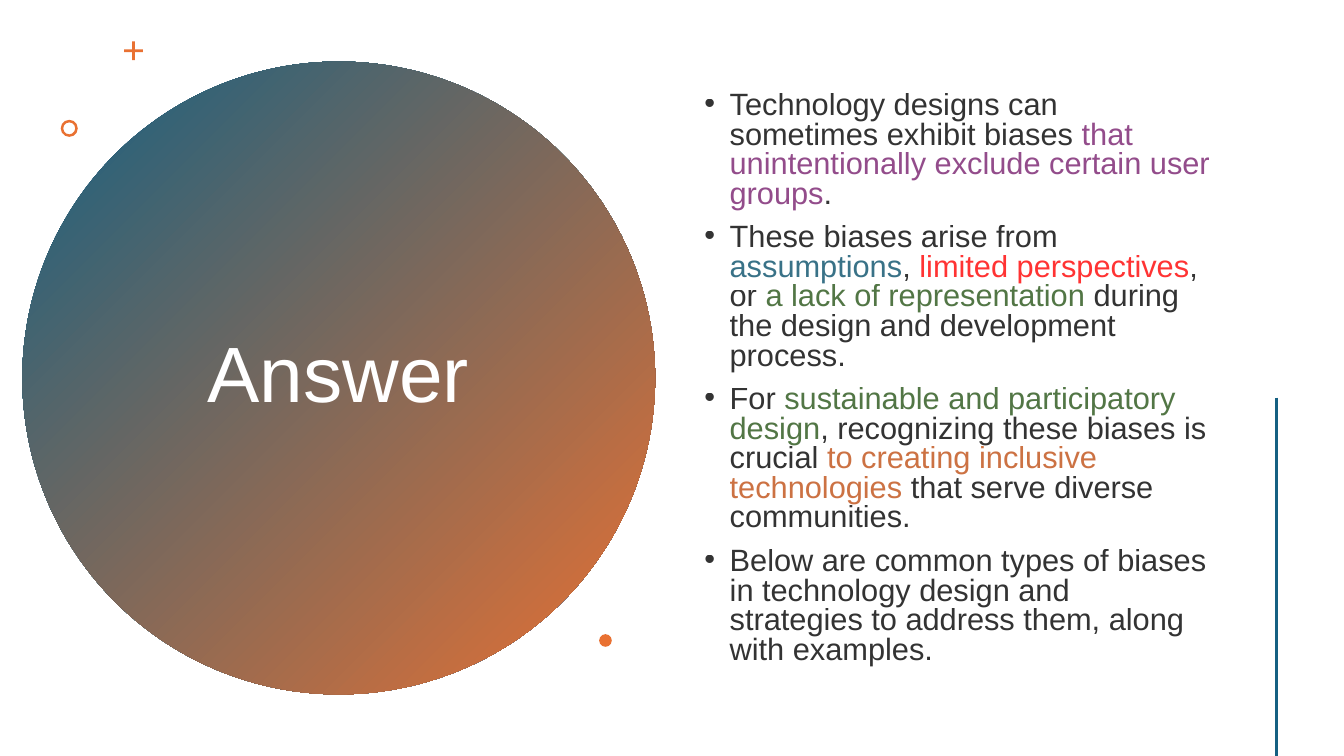
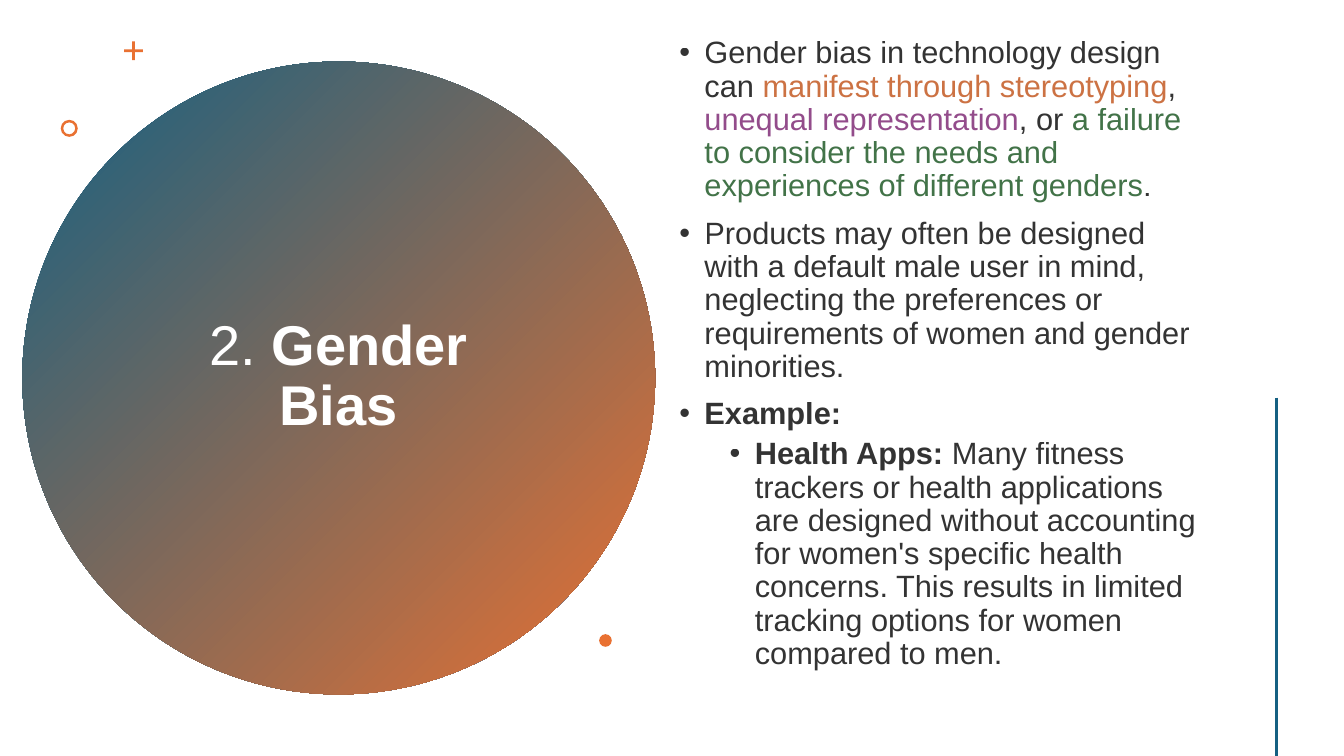
import lxml.etree
import pptx
import pptx.dml.color
import pptx.enum.shapes
import pptx.enum.text
import pptx.oxml.ns
import pptx.util

Pt = pptx.util.Pt
qn = pptx.oxml.ns.qn
SHAPE = pptx.enum.shapes.MSO_SHAPE
ALIGN = pptx.enum.text.PP_ALIGN

FONT = "Arial"
BODY_SIZE = 22
COLORS = {
    "white": "FFFFFF",
    "ink": "000000",
    "blue": "156082",
    "orange": "E97132",
    "purple": "78206E",
    "teal": "084F6A",
    "red": "FF0000",
    "olive": "275417",
    "green": "13501B",
    "rust": "C04F15",
}


def rgb(name):
    return pptx.dml.color.RGBColor.from_string(COLORS[name])


def add_run(p, text, size=BODY_SIZE, color="ink", bold=False, opacity=100):
    r = p.add_run()
    r.text = text
    r.font.name = FONT
    r.font.size = Pt(size)
    r.font.bold = bold
    r.font.color.rgb = rgb(color)
    if opacity < 100:
        clr = r._r.find(".//" + qn("a:srgbClr"))
        lxml.etree.SubElement(clr, qn("a:alpha"), val=str(opacity * 1000))


def set_bullet(p, left, hanging=18):
    pPr = p._p.get_or_add_pPr()
    pPr.set("marL", str(Pt(left)))
    pPr.set("indent", str(-Pt(hanging)))
    lxml.etree.SubElement(pPr, qn("a:buFont"), typeface=FONT)
    lxml.etree.SubElement(pPr, qn("a:buChar"), char="•")


class Deck:
    """Holds the shared style and the slide being built."""

    def __init__(self):
        self.prs = pptx.Presentation()
        self.prs.slide_width = Pt(960)
        self.prs.slide_height = Pt(540)
        self.slide = None

    def new_slide(self):
        """Add a slide with the gradient circle, small ornaments and side line."""
        self.slide = self.prs.slides.add_slide(self.prs.slide_layouts[1])
        circle = self.shape(SHAPE.OVAL, 16, 44, 452)
        circle.fill.gradient()
        circle.fill.gradient_angle = 315
        for stop, name in zip(circle.fill.gradient_stops, ("blue", "orange")):
            stop.color.rgb = rgb(name)
        self.shape(SHAPE.CROSS, 88.6, 29.5, 13.5).adjustments[0] = 0.43
        self.shape(SHAPE.DONUT, 43.4, 85.6, 12.2).adjustments[0] = 0.15
        self.shape(SHAPE.OVAL, 428, 453, 9)
        self.line(912, 284, 912, 540)

    def shape(self, kind, left, top, size):
        sp = self.slide.shapes.add_shape(kind, Pt(left), Pt(top), Pt(size), Pt(size))
        sp.shadow.inherit = False
        sp.fill.solid()
        sp.fill.fore_color.rgb = rgb("orange")
        sp.line.fill.background()
        return sp

    def line(self, x1, y1, x2, y2):
        cxn = self.slide.shapes.add_connector(
            pptx.enum.shapes.MSO_CONNECTOR.STRAIGHT, Pt(x1), Pt(y1), Pt(x2), Pt(y2))
        cxn.line.color.rgb = rgb("blue")
        cxn.line.width = Pt(2)
        lxml.etree.SubElement(cxn._element.spPr, qn("a:effectLst"))

    def place(self, sp, left, top, width, height):
        """Move a placeholder, bring it to the front and centre its text vertically."""
        sp.left, sp.top, sp.width, sp.height = Pt(left), Pt(top), Pt(width), Pt(height)
        self.slide.shapes._spTree.append(sp._element)
        tf = sp.text_frame
        tf.word_wrap = True
        tf.auto_size = pptx.enum.text.MSO_AUTO_SIZE.NONE
        tf.vertical_anchor = pptx.enum.text.MSO_ANCHOR.MIDDLE
        return tf

    def title(self, runs, size):
        tf = self.place(self.slide.shapes.title, 98, 101.5, 287.5, 336)
        p = tf.paragraphs[0]
        p.alignment = ALIGN.CENTER
        p.line_spacing = 0.9
        for text, bold in runs:
            add_run(p, text, size=size, color="white", bold=bold)

    def bullets(self, items, box, line_spacing):
        """Fill the body with (level, runs) items; a run is (text, format)."""
        tf = self.place(self.slide.placeholders[1], *box)
        for i, (level, runs) in enumerate(items):
            p = tf.add_paragraph() if i else tf.paragraphs[0]
            p.level = level
            p.alignment = ALIGN.LEFT
            p.line_spacing = line_spacing
            p.space_before = Pt(5 if level else 10)
            set_bullet(p, 18 + 36 * level)
            for text, style in runs:
                add_run(p, text, opacity=80, **style)


PLAIN = {}
BOLD = {"bold": True}
PURPLE, TEAL, RED, OLIVE, GREEN, RUST = (
    {"color": name} for name in ("purple", "teal", "red", "olive", "green", "rust"))

ANSWER = [
    (0, [("Technology designs can sometimes exhibit biases ", PLAIN),
         ("that unintentionally exclude certain user groups", PURPLE),
         (".", PLAIN)]),
    (0, [("These biases arise from ", PLAIN),
         ("assumptions", TEAL),
         (", ", PLAIN),
         ("limited perspectives", RED),
         (", or ", PLAIN),
         ("a lack of representation ", OLIVE),
         ("during the design and development process.", PLAIN)]),
    (0, [("For ", PLAIN),
         ("sustainable and participatory design", OLIVE),
         (", recognizing these biases is crucial ", PLAIN),
         ("to creating inclusive technologies ", RUST),
         ("that serve diverse communities.", PLAIN)]),
    (0, [("Below are common types of biases in technology design and strategies "
          "to address them, along with examples.", PLAIN)]),
]

GENDER_BIAS = [
    (0, [("Gender bias in technology design can ", PLAIN),
         ("manifest through stereotyping", RUST),
         (", ", PLAIN),
         ("unequal representation", PURPLE),
         (", or ", PLAIN),
         ("a failure to consider the needs and experiences of different genders", GREEN),
         (".", PLAIN)]),
    (0, [("Products may often be designed with a default male user in mind, neglecting "
          "the preferences or requirements of women and gender minorities.", PLAIN)]),
    (0, [("Example:", BOLD)]),
    (1, [("Health Apps:", BOLD),
         (" Many fitness trackers or health applications are designed without accounting "
          "for women's specific health concerns. This results in limited tracking options "
          "for women compared to men.", PLAIN)]),
]


def main():
    deck = Deck()

    deck.new_slide()
    deck.title([("Answer", False)], size=56)
    deck.bullets(ANSWER, box=(496, 41, 376, 459.5), line_spacing=0.8)

    deck.new_slide()
    deck.title([("2. ", False), ("Gender Bias", True)], size=40)
    deck.bullets(GENDER_BIAS, box=(478, 27.5, 391, 451), line_spacing=0.9)

    deck.prs.save("out.pptx")


if __name__ == "__main__":
    main()
